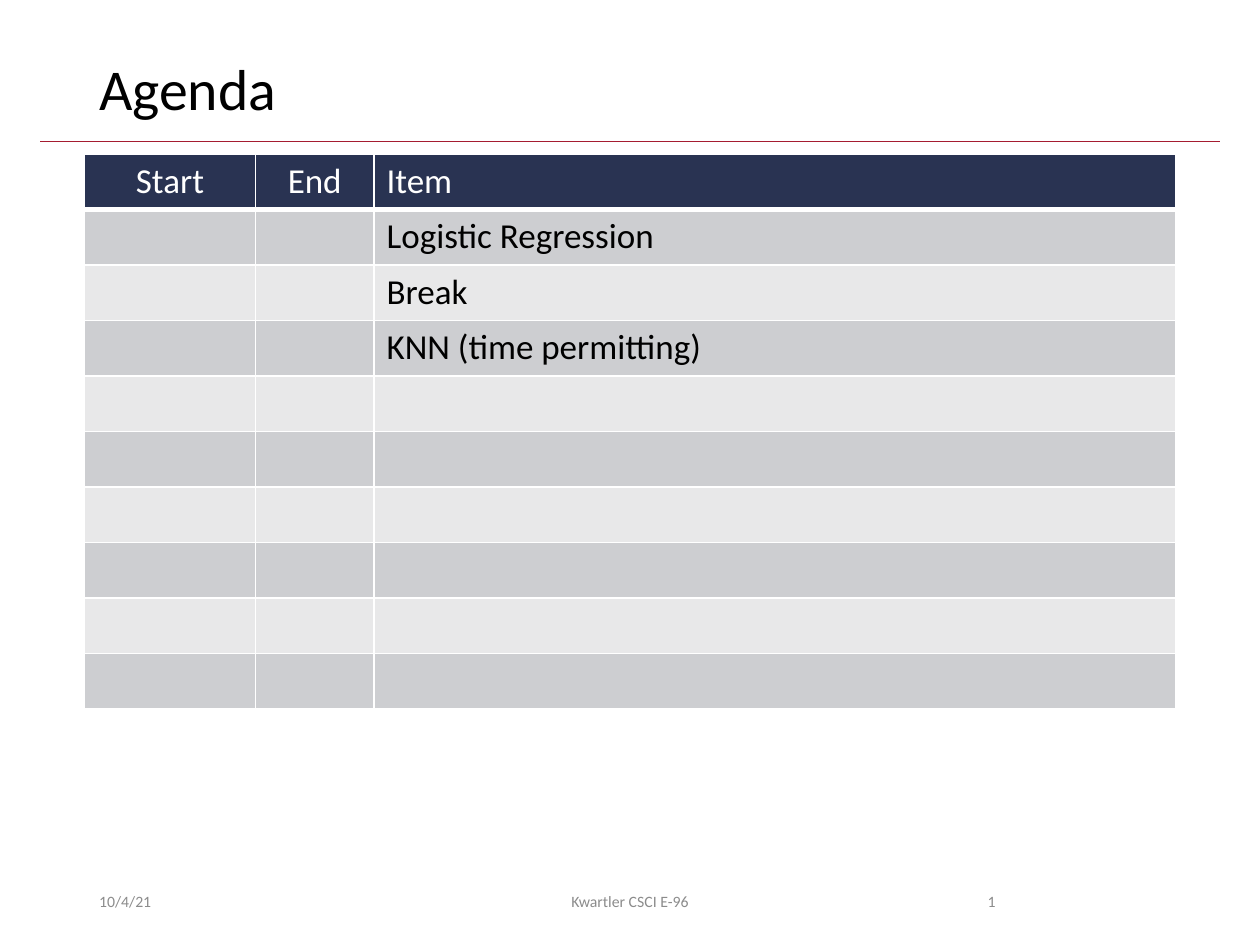
from dataclasses import dataclass

from lxml import etree
from pptx import Presentation
from pptx.dml.color import RGBColor
from pptx.enum.shapes import MSO_CONNECTOR
from pptx.enum.text import MSO_ANCHOR, PP_ALIGN
from pptx.oxml.ns import qn
from pptx.util import Cm, Pt

LEFT, CENTER, RIGHT = PP_ALIGN.LEFT, PP_ALIGN.CENTER, PP_ALIGN.RIGHT
MIDDLE = MSO_ANCHOR.MIDDLE
STRAIGHT = MSO_CONNECTOR.STRAIGHT


@dataclass(frozen=True)
class Theme:
    """Colours, font and type sizes of the deck."""
    font: str = "Calibri"
    ink: str = "000000"
    white: str = "FFFFFF"
    rule: str = "A51C30"
    header: str = "293352"
    bands: tuple = ("CDCED1", "E8E8E9")
    muted: str = "8C8C8C"
    title_size: int = 33
    table_size: int = 20
    footer_size: int = 9


THEME = Theme()
COLUMN_WIDTHS = (3.45, 2.39, 16.16)
COLUMN_ALIGNMENTS = (CENTER, CENTER, LEFT)
HEADINGS = ("Start", "End", "Item")
ITEMS = ("Logistic Regression", "Break", "KNN (time permitting)")
BODY_ROWS = 9


def add_run(paragraph, text, size, color, alignment=LEFT):
    """Add one styled run to a paragraph."""
    paragraph.alignment = alignment
    run = paragraph.add_run()
    run.text = text
    run.font.name = THEME.font
    run.font.size = Pt(size)
    run.font.bold = False
    run.font.color.rgb = RGBColor.from_string(color)


def add_text(slide, box, text, size, color, alignment=LEFT):
    """Place a vertically centred line of text in a box given in centimetres."""
    shape = slide.shapes.add_textbox(*map(Cm, box))
    frame = shape.text_frame
    frame.word_wrap = True
    frame.vertical_anchor = MIDDLE
    add_run(frame.paragraphs[0], text, size, color, alignment)
    return frame.paragraphs[0]


def add_title(slide, left, top, width, height):
    """Place the title with the rule that runs beneath it."""
    rule_top, overhang = Cm(top + height + 0.18), 0.94
    rule = slide.shapes.add_connector(
        STRAIGHT, Cm(left - overhang), rule_top,
        Cm(left + width + overhang), rule_top)
    rule.line.color.rgb = RGBColor.from_string(THEME.rule)
    rule.line.width = Pt(0.5)
    etree.SubElement(rule._element.spPr, qn("a:effectLst"))
    paragraph = add_text(slide, (left, top, width, height), "Agenda",
                         THEME.title_size, THEME.ink)
    paragraph.line_spacing = 0.9


def style_cell(cell, fill, bottom_width):
    """Give a cell its white borders and its fill."""
    properties = cell._tc.get_or_add_tcPr()
    widths = {"a:lnL": 1, "a:lnR": 1, "a:lnT": 1, "a:lnB": bottom_width}
    for tag, width in widths.items():
        line = etree.SubElement(properties, qn(tag), w=str(Pt(width)))
        solid = etree.SubElement(line, qn("a:solidFill"))
        etree.SubElement(solid, qn("a:srgbClr"), val=THEME.white)
    cell.fill.solid()
    cell.fill.fore_color.rgb = RGBColor.from_string(fill)


def add_agenda(slide, left, top, width, height):
    """Place the agenda table with a header and banded rows."""
    blank_rows = [("", "", "")] * (BODY_ROWS - len(ITEMS))
    rows = [HEADINGS, *[("", "", item) for item in ITEMS], *blank_rows]
    table = slide.shapes.add_table(
        len(rows), len(HEADINGS), *map(Cm, (left, top, width, height))).table
    table.horz_banding = False
    for column, column_width in zip(table.columns, COLUMN_WIDTHS):
        column.width = Cm(column_width)
    for index, values in enumerate(rows):
        is_header = index == 0
        fill = THEME.header if is_header else THEME.bands[(index - 1) % 2]
        color = THEME.white if is_header else THEME.ink
        table.rows[index].height = Cm(height / len(rows))
        for cell, text, alignment in zip(
                table.rows[index].cells, values, COLUMN_ALIGNMENTS):
            style_cell(cell, fill, 3 if is_header else 1)
            if text:
                add_run(cell.text_frame.paragraphs[0], text,
                        THEME.table_size, color, alignment)


def add_footer(slide, left, top, width, height):
    """Place the date, the course name and the page number."""
    parts = (
        (0, 5.72, "10/4/21", LEFT),
        ((width - 8.58) / 2, 8.58, "Kwartler CSCI E-96", CENTER),
        (16.18, 2.39, "1", RIGHT),
    )
    for offset, part_width, text, alignment in parts:
        add_text(slide, (left + offset, top, part_width, height), text,
                 THEME.footer_size, THEME.muted, alignment)


def main():
    """Build and save the agenda slide."""
    presentation = Presentation()
    presentation.slide_width = Cm(25.4)
    presentation.slide_height = Cm(19.05)
    slide = presentation.slides.add_slide(presentation.slide_layouts[6])
    add_title(slide, 1.75, 1.02, 21.9, 1.65)
    add_agenda(slide, 1.7, 3.1, sum(COLUMN_WIDTHS), 11.2)
    add_footer(slide, 1.75, 17.65, 21.9, 1.02)
    presentation.save("out.pptx")


if __name__ == "__main__":
    main()
